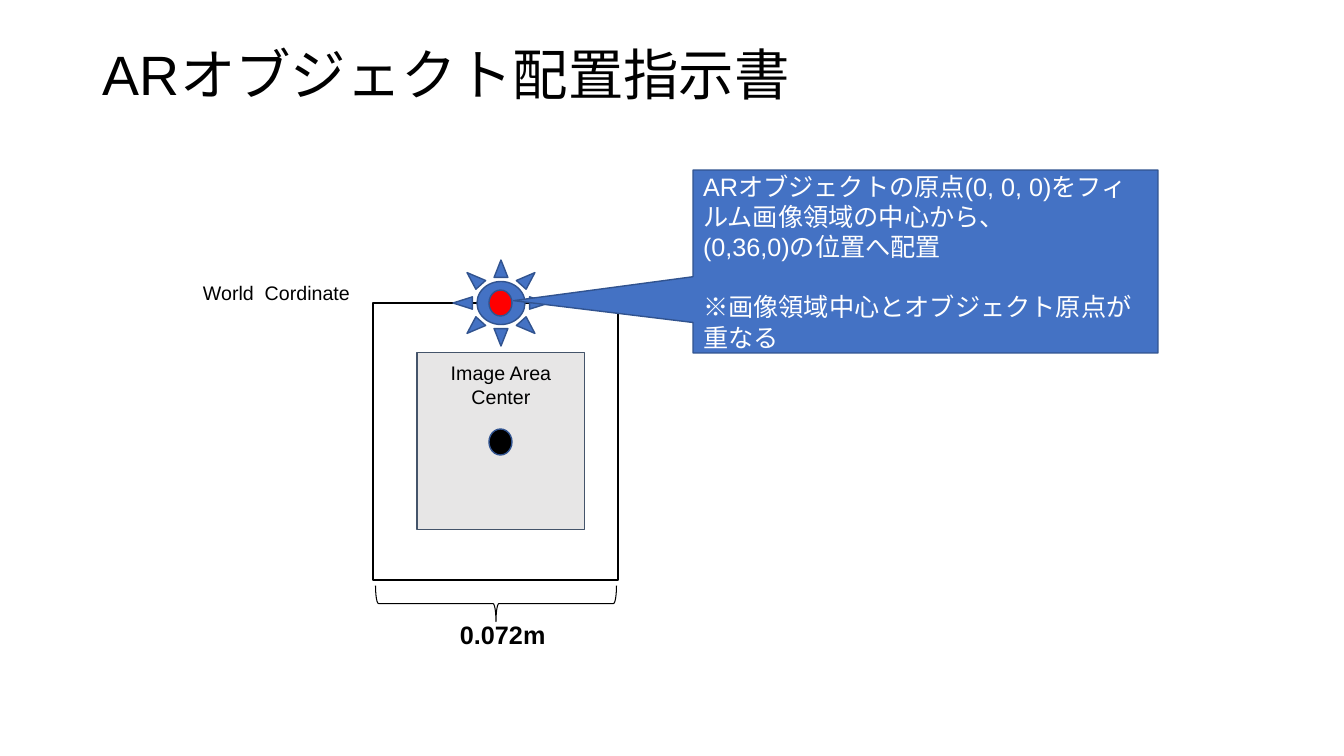
from dataclasses import dataclass
from typing import Optional

from pptx import Presentation
from pptx.dml.color import RGBColor
from pptx.enum.shapes import MSO_SHAPE
from pptx.enum.text import MSO_ANCHOR, PP_ALIGN
from pptx.util import Emu, Pt

RECT = MSO_SHAPE.RECTANGLE
OVAL = MSO_SHAPE.OVAL
SUN = MSO_SHAPE.SUN
BRACE = MSO_SHAPE.LEFT_BRACE
CALL = MSO_SHAPE.RECTANGULAR_CALLOUT
TOP, MID = MSO_ANCHOR.TOP, MSO_ANCHOR.MIDDLE
LEFT, CENTER = PP_ALIGN.LEFT, PP_ALIGN.CENTER
WIDE, HIGH = 1344, 756
SCALE = 12192000 / WIDE


@dataclass(frozen=True)
class Theme:
    font: str = "Arial"
    black: str = "000000"
    white: str = "FFFFFF"
    gray: str = "E7E6E6"
    slate: str = "44546A"
    blue: str = "4472C4"
    navy: str = "31538F"
    red: str = "FF0000"
    title: float = 39.6
    body: float = 18
    small: float = 14


@dataclass(frozen=True)
class Box:
    left: int
    top: int
    width: int
    height: int

    def emu(self) -> list[Emu]:
        sides = (self.left, self.top, self.width, self.height)
        return [px(side) for side in sides]


@dataclass(frozen=True)
class Form:
    kind: int
    box: Box
    fill: Optional[str]
    line: str
    weight: float = 1
    turn: int = 0
    adjust: tuple[float, ...] = ()


def px(count: int) -> Emu:
    return Emu(round(count * SCALE))


def color(code: str) -> RGBColor:
    return RGBColor.from_string(code)


def draw(slide, form: Form):
    shape = slide.shapes.add_shape(form.kind, *form.box.emu())
    shape.shadow.inherit = False
    shape.rotation = form.turn
    for place, value in enumerate(form.adjust):
        shape.adjustments[place] = value
    if form.fill is None:
        shape.fill.background()
    else:
        shape.fill.solid()
        shape.fill.fore_color.rgb = color(form.fill)
    shape.line.color.rgb = color(form.line)
    shape.line.width = Pt(form.weight)
    return shape


def write(shape, *lines: str, size: float, ink: str, bold: bool = False,
          align=LEFT, anchor=TOP, inset: int = 5, leading: float = 1,
          gaps: tuple[float, ...] = ()) -> None:
    frame = shape.text_frame
    frame.word_wrap = True
    frame.vertical_anchor = anchor
    frame.margin_left = frame.margin_right = px(10)
    frame.margin_top = frame.margin_bottom = px(inset)
    frame.text = "\n".join(lines)
    for para in frame.paragraphs:
        para.alignment = align
        para.line_spacing = leading
        para.font.size = Pt(size)
        for run in para.runs:
            run.font.name = theme.font
            run.font.size = Pt(size)
            run.font.bold = bold
            run.font.color.rgb = color(ink)
    for para, gap in zip(frame.paragraphs, gaps):
        para.space_before = Pt(gap)


def label(slide, box: Box, text: str, **style) -> None:
    write(slide.shapes.add_textbox(*box.emu()), text, ink=theme.black, **style)


def dot(slide, top: int, fill: str) -> None:
    draw(slide, Form(OVAL, Box(489, top, 23, 26), fill, theme.navy))


theme = Theme()
deck = Presentation()
deck.slide_width, deck.slide_height = px(WIDE), px(HIGH)
slide = deck.slides.add_slide(deck.slide_layouts[6])

label(slide, Box(93, 40, 1159, 75), "ARオブジェクト配置指示書",
      size=theme.title, anchor=MID, leading=0.9)

draw(slide, Form(RECT, Box(373, 303, 245, 277), theme.white, theme.black))
area = draw(slide, Form(RECT, Box(417, 353, 168, 177), theme.gray,
                        theme.slate, 0.75))
write(area, "Image Area Center", size=theme.small, ink=theme.black,
      align=CENTER, inset=8)
dot(slide, 429, theme.black)

label(slide, Box(193, 271, 195, 44), "World  Cordinate",
      size=theme.small, inset=10)
draw(slide, Form(BRACE, Box(478, 483, 36, 241), None, theme.black, 0.75,
                 270, (0.083, 0.5)))
label(slide, Box(450, 614, 109, 40), "0.072m", size=theme.body, bold=True)

draw(slide, Form(SUN, Box(453, 260, 96, 86), theme.blue, theme.navy,
                 adjust=(0.25,)))
dot(slide, 290, theme.red)

note = draw(slide, Form(CALL, Box(693, 170, 465, 183), theme.blue, theme.navy,
                        adjust=(-0.886, 0.214)))
write(note,
      "ARオブジェクトの原点(0, 0, 0)をフィルム画像領域の中心から、",
      "(0,36,0)の位置へ配置",
      "※画像領域中心とオブジェクト原点が重なる",
      size=theme.body, ink=theme.white, anchor=MID, gaps=(0, 0, 21.5))

deck.save("out.pptx")
